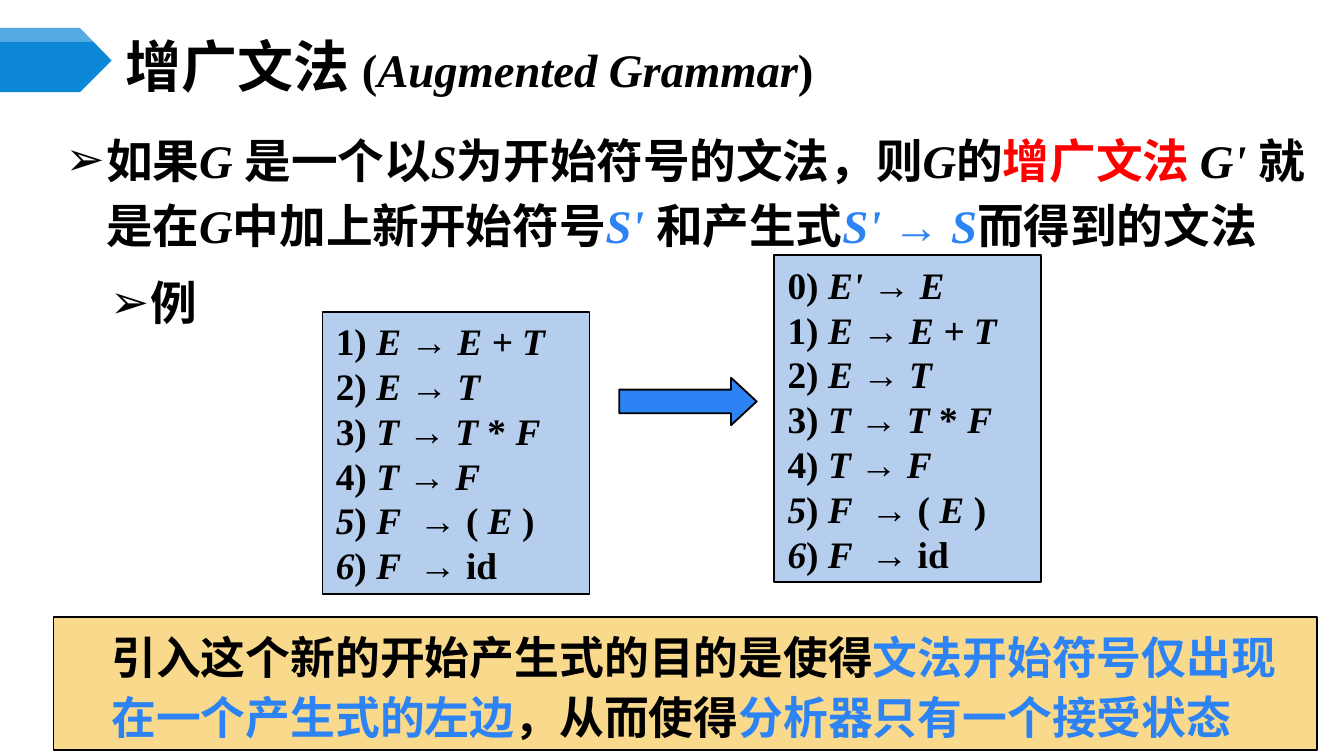
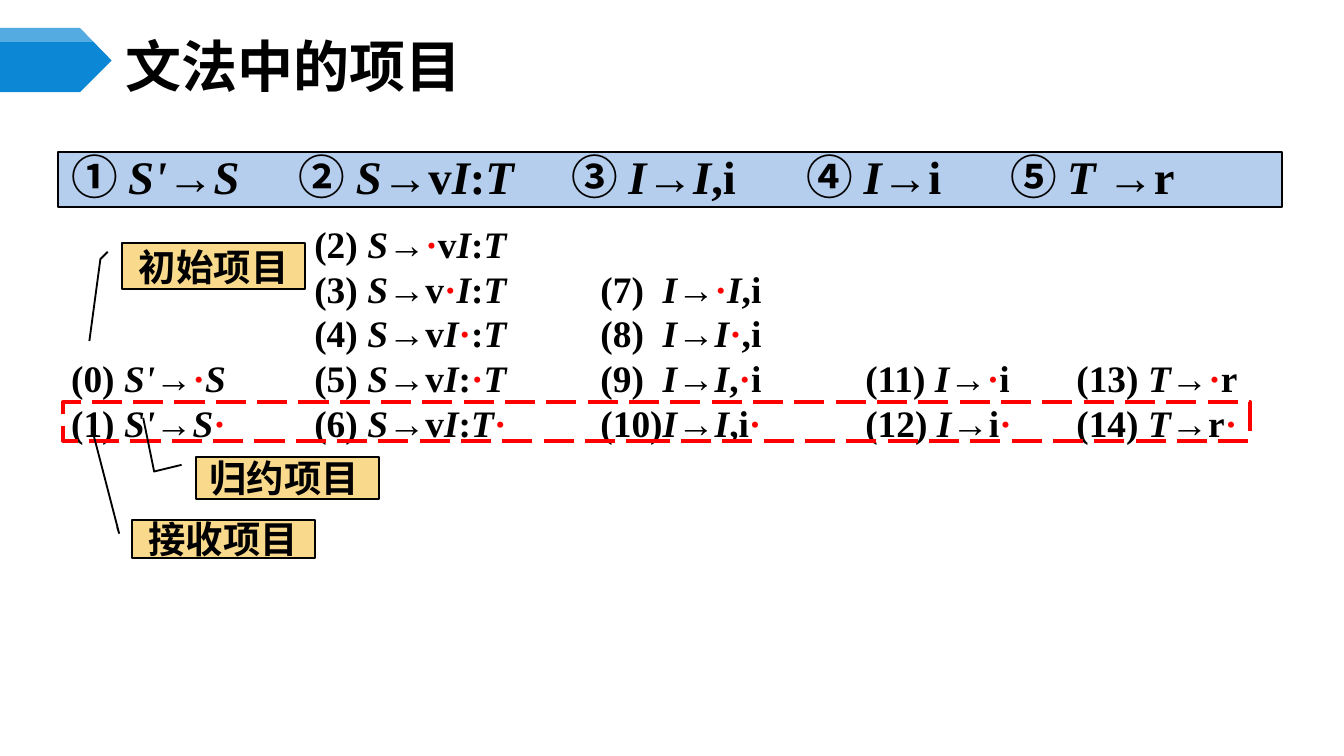
from lxml.etree import SubElement
from pptx import Presentation
from pptx.dml.color import RGBColor
from pptx.enum.dml import MSO_LINE
from pptx.enum.shapes import MSO_SHAPE
from pptx.enum.text import MSO_ANCHOR, MSO_AUTO_SIZE, PP_ALIGN
from pptx.oxml.ns import qn
from pptx.util import Pt

COLORS = {
    "black": "000000",
    "white": "FFFFFF",
    "band": "0B87D6",
    "red": "FF0000",
    "blue": "2D83F4",
    "pale blue": "B5CEED",
    "sand": "F9D98C",
}
SERIF = "Times New Roman"
SANS = "Noto Sans CJK SC"
LINE_HEIGHT = 24
PADDING = 7.2


def write(para, text, size=20, font=SERIF):
    """Append bold spans: _italic_, ~sans font~, {red}, <blue>."""
    italic, face, color, pending = False, font, "black", ""
    for char in text + "\0":
        if char not in "_~{}<>\0":
            pending += char
            continue
        if pending:
            span = para.add_run()
            span.text = pending
            span.font.size = Pt(size)
            span.font.bold = True
            span.font.italic = italic
            span.font.name = face
            span.font.color.rgb = RGBColor.from_string(COLORS[color])
            SubElement(span.font._element, qn("a:ea"), typeface=SANS)
            pending = ""
        if char == "_":
            italic = not italic
        elif char == "~":
            face = SANS if face != SANS else font
        else:
            color = {"{": "red", "<": "blue"}.get(char, "black")


def draw_box(page, at, lines=(), kind=MSO_SHAPE.RECTANGLE, fill=None, line=None,
             weight=1, grow=False, anchor=MSO_ANCHOR.TOP, align=PP_ALIGN.LEFT,
             size=20, font=SERIF):
    box = page.shapes.add_shape(kind, *map(Pt, at))
    box.shadow.inherit = False
    if fill:
        box.fill.solid()
        box.fill.fore_color.rgb = RGBColor.from_string(COLORS[fill])
    else:
        box.fill.background()
    if line:
        box.line.color.rgb = RGBColor.from_string(COLORS[line])
        box.line.width = Pt(weight)
    else:
        box.line.fill.background()
    frame = box.text_frame
    frame.word_wrap = True
    frame.vertical_anchor = anchor
    frame.auto_size = MSO_AUTO_SIZE.SHAPE_TO_FIT_TEXT if grow else MSO_AUTO_SIZE.NONE
    for index, text in enumerate(lines):
        para = frame.add_paragraph() if index else frame.paragraphs[0]
        para.alignment = align
        write(para, text, size=size, font=font)
    return box


deck = Presentation()
deck.slide_width, deck.slide_height = Pt(720), Pt(405)
grammar_page = deck.slides.add_slide(deck.slide_layouts[1])
items_page = deck.slides.add_slide(deck.slide_layouts[5])

# Blue pointer with its light strip, shared through the slide master
pointer = [(0, 15), (42.8, 15), (59.8, 32.4), (42.8, 49.4), (0, 49.4)]
strip = [(0, 15), (42.8, 15), (49.8, 22.4), (0, 22.4)]
for outline, color, alpha in [(pointer, "band", 100), (strip, "white", 30)]:
    start, *rest = [(Pt(x), Pt(y)) for x, y in outline]
    builder = grammar_page.shapes.build_freeform(*start)
    builder.add_line_segments(rest, close=True)
    band = builder.convert_to_shape()
    band.shadow.inherit = False
    band.line.fill.background()
    band.fill.solid()
    band.fill.fore_color.rgb = RGBColor.from_string(COLORS[color])
    tint = band.element.spPr.find(qn("a:solidFill"))[0]
    SubElement(tint, qn("a:alpha"), val=str(alpha * 1000))
    deck.slide_master.shapes.element.append(band.element)

# Titles
titles = [
    (grammar_page, "增广文法 ", "(_Augmented Grammar_)"),
    (items_page, "文法中的项目", ""),
]
for page, heading, english in titles:
    title = page.shapes.title
    title.left, title.top, title.width, title.height = map(Pt, (59.8, 21, 624, 28))
    title.text_frame.auto_size = MSO_AUTO_SIZE.NONE
    title.text_frame.vertical_anchor = MSO_ANCHOR.MIDDLE
    para = title.text_frame.paragraphs[0]
    para.alignment = PP_ALIGN.LEFT
    write(para, heading, size=30, font=SANS)
    write(para, english, size=25)

# Slide 1: definition list
body = grammar_page.placeholders[1]
body.left, body.top, body.width, body.height = map(Pt, (28, 62, 682.6, 254))
body.fill.solid()
body.fill.fore_color.rgb = RGBColor.from_string(COLORS["white"])
body.text_frame.auto_size = MSO_AUTO_SIZE.NONE
definition = (
    "如果_G _是一个以_S_为开始符号的文法，则_G_的{增广文法 }_G' _就是在_G_中加上新开始符号"
    "<_S' _>和产生式<_S' _→ _S_>而得到的文法"
)
for level, text in enumerate([definition, "例"]):
    para = body.text_frame.add_paragraph() if level else body.text_frame.paragraphs[0]
    para.level = level
    para.line_spacing = Pt(35)
    para.space_before = Pt(6.2)
    write(para, text, size=25)
    properties = para._p.get_or_add_pPr()
    properties.set("marL", str(Pt(21.6 + 23.8 * level)))
    properties.set("indent", str(Pt(-21.6)))
    bullet_color = SubElement(properties, qn("a:buClr"))
    SubElement(bullet_color, qn("a:srgbClr"), val=COLORS["black"])
    SubElement(properties, qn("a:buChar"), char="➢")

# Slide 1: grammar before and after
arrow = draw_box(grammar_page, (331.8, 202.4, 73.6, 25.4), kind=MSO_SHAPE.RIGHT_ARROW,
                 fill="blue", line="black")
arrow.adjustments[0], arrow.adjustments[1] = 0.5, 0.54
productions = [
    "1) _E _→ _E + T_",
    "2) _E_ → _T_",
    "3) _T_ → _T _* _F_",
    "4) _T_ → _F_",
    "_5_) _F  → _(_ E _)",
    "_6_) _F  → _id",
]
augmented = ["0) _E' _→ _E_"] + productions
for left, top, lines in [(172.8, 167, productions), (414.8, 136.8, augmented)]:
    draw_box(grammar_page, (left, top, 143, LINE_HEIGHT * len(lines) + PADDING), lines,
             fill="pale blue", line="black", grow=True)

purpose = (
    "引入这个新的开始产生式的目的是使得<文法开始符号仅出现在一个产生式的左边>"
    "，从而使得<分析器只有一个接受状态>"
)
note = draw_box(grammar_page, (28.8, 330.5, 676.8, 71.3), [purpose], fill="sand",
                line="black", weight=0.75, grow=True, size=24)
para = note.text_frame.paragraphs[0]
para.line_spacing = Pt(32)
para.space_before = Pt(6)
para._p.get_or_add_pPr().set("marL", str(Pt(23.8)))

# Slide 2: numbered productions
rules = "\t".join([
    "~① ~_S'_→_S_",
    "~② ~_S_→v_I_:_T_",
    "~③ ~_I_→_I_,i",
    "~④ ~_I_→i",
    "~⑤ ~_T_ →r",
])
rule_bar = draw_box(items_page, (31, 81.4, 656, 29.5), [rules], fill="pale blue",
                    line="black", anchor=MSO_ANCHOR.MIDDLE, size=25)
para = rule_bar.text_frame.paragraphs[0]
para.line_spacing = 0.9
para.space_before = Pt(6.2)
tab_list = SubElement(para._p.get_or_add_pPr(), qn("a:tabLst"))
for stop in (122, 268, 394, 503):
    SubElement(tab_list, qn("a:tab"), pos=str(Pt(stop)), algn="l")

# Slide 2: item columns, standing on one bottom line
columns = [
    (31, 113, ["(0) _S'_→{·}_S_", "(1) _S'_→_S_{·}"]),
    (161.3, 140.4, ["(2) _S_→{·}v_I_:_T_", "(3) _S_→v{·}_I_:_T_", "(4) _S_→v_I_{·}:_T_",
                    "(5) _S_→v_I_:{·}_T_", "(6) _S_→v_I_:_T_{·}"]),
    (314.6, 117.4, ["(7)  _I_→{·}_I_,i", "(8)  _I_→_I_{·},i", "(9) _ I_→_I_,{·}i",
                    "(10)_I_→_I_,i{·}"]),
    (456.5, 117.4, ["(11) _I_→{·}i", "(12) _I_→i{·}"]),
    (569.5, 113.8, ["(13) _T_→{·}r", "(14) _T_→r{·}"]),
]
for left, width, lines in columns:
    height = LINE_HEIGHT * len(lines) + PADDING
    column = items_page.shapes.add_textbox(Pt(left), Pt(242 - height), Pt(width), Pt(height))
    frame = column.text_frame
    frame.word_wrap = True
    frame.auto_size = MSO_AUTO_SIZE.SHAPE_TO_FIT_TEXT
    for index, text in enumerate(lines):
        write(frame.add_paragraph() if index else frame.paragraphs[0], text)

final_row = draw_box(items_page, (33.8, 215.3, 635.8, 20.9), line="red", weight=2)
final_row.line.dash_style = MSO_LINE.LONG_DASH

# Slide 2: callouts; the last three adjustments bend and end each leader line
callouts = [
    ("归约项目", (105.1, 244.8, 98, 22.3), PP_ALIGN.LEFT, SANS, (-0.23, -0.94, -0.29)),
    ("接收项目", (70.6, 278.6, 98, 20.2), PP_ALIGN.CENTER, SERIF, (-0.07, -2.46, -0.22)),
    ("初始项目", (65.5, 130.3, 98, 24.5), PP_ALIGN.CENTER, SANS, (-0.12, 2.14, -0.18)),
]
for label, at, align, font, leader in callouts:
    callout = draw_box(items_page, at, [label], kind=MSO_SHAPE.LINE_CALLOUT_2, fill="sand",
                       line="black", anchor=MSO_ANCHOR.MIDDLE, align=align, font=font)
    for index, value in enumerate((0.19, -0.08, 0.35) + leader):
        callout.adjustments[index] = value

deck.save("out.pptx")
